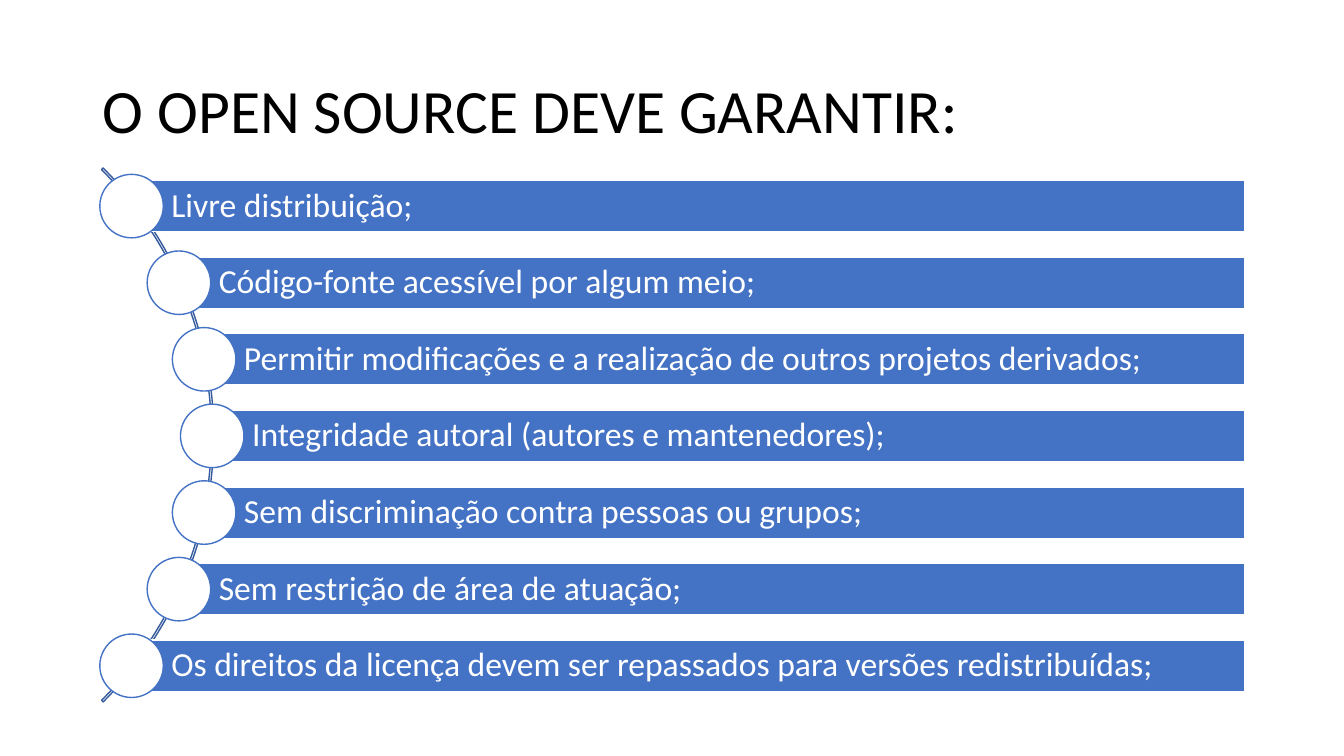
import math
from dataclasses import dataclass

import pptx
import pptx.dml.color
import pptx.enum.shapes
import pptx.enum.text
import pptx.shapes.autoshape
import pptx.shapes.shapetree
import pptx.util

RGB = pptx.dml.color.RGBColor
SHAPE = pptx.enum.shapes.MSO_SHAPE
EMU_PER_PX = 9144  # 100 px to the inch


@dataclass(frozen=True)
class Theme:
    font: str = "Calibri"
    title_size: int = 44
    item_size: int = 24
    line_width: int = 1
    line_spacing: float = 0.9
    ink: RGB = RGB(0, 0, 0)
    paper: RGB = RGB(255, 255, 255)
    accent: RGB = RGB(0x44, 0x72, 0xC4)
    accent_dark: RGB = RGB(0x36, 0x5B, 0x9D)


@dataclass(frozen=True)
class Box:
    left: int
    top: int
    width: int
    height: int

    def emu(self) -> tuple[int, int, int, int]:
        return px(self.left), px(self.top), px(self.width), px(self.height)


@dataclass(frozen=True)
class Guarantee:
    text: str
    center_x: int
    center_y: int


THEME = Theme()
GUARANTEES = (
    "Livre distribuição;",
    "Código-fonte acessível por algum meio;",
    "Permitir modificações e a realização de outros projetos derivados;",
    "Integridade autoral (autores e mantenedores);",
    "Sem discriminação contra pessoas ou grupos;",
    "Sem restrição de área de atuação;",
    "Os direitos da licença devem ser repassados para versões redistribuídas;",
)
TITLE_BOX = Box(92, 40, 1150, 145)
ARC_BOX = Box(-537, 57, 749, 749)
ARC_ANGLES = (189, 27, 0.003)
CURVE_RADIUS = 365
CURVE_RIGHT = 210
MIDDLE_Y = 432
ROW_STEP = 76
BAR_RIGHT = 1235
BAR_HEIGHT = 51
DISC_SIZE = 63


def px(length: int) -> pptx.util.Emu:
    return pptx.util.Emu(length * EMU_PER_PX)


def place_on_curve(index: int, text: str) -> Guarantee:
    """Space the rows evenly and start each one on the circular curve."""
    offset = (index - len(GUARANTEES) // 2) * ROW_STEP
    inset = CURVE_RADIUS - math.sqrt(CURVE_RADIUS**2 - offset**2)
    return Guarantee(text, round(CURVE_RIGHT - inset), MIDDLE_Y + offset)


def add_outlined(
    shapes: pptx.shapes.shapetree.GroupShapes,
    kind: SHAPE,
    box: Box,
    line: RGB,
    fill: RGB | None = None,
) -> pptx.shapes.autoshape.Shape:
    shape = shapes.add_shape(kind, *box.emu())
    shape.shadow.inherit = False
    if fill is None:
        shape.fill.background()
    else:
        shape.fill.solid()
        shape.fill.fore_color.rgb = fill
    shape.line.color.rgb = line
    shape.line.width = pptx.util.Pt(THEME.line_width)
    return shape


def write(
    frame: pptx.text.text.TextFrame, text: str, size: int, color: RGB
) -> None:
    frame.text = text
    frame.word_wrap = True
    frame.auto_size = pptx.enum.text.MSO_AUTO_SIZE.NONE
    frame.vertical_anchor = pptx.enum.text.MSO_ANCHOR.MIDDLE
    paragraph = frame.paragraphs[0]
    paragraph.alignment = pptx.enum.text.PP_ALIGN.LEFT
    paragraph.line_spacing = THEME.line_spacing
    paragraph.font.name = THEME.font
    paragraph.font.size = pptx.util.Pt(size)
    paragraph.font.color.rgb = color


def add_guarantee(
    shapes: pptx.shapes.shapetree.GroupShapes, item: Guarantee
) -> None:
    bar_box = Box(
        item.center_x,
        item.center_y - BAR_HEIGHT // 2,
        BAR_RIGHT - item.center_x,
        BAR_HEIGHT,
    )
    bar = add_outlined(shapes, SHAPE.RECTANGLE, bar_box, THEME.paper, THEME.accent)
    frame = bar.text_frame
    write(frame, item.text, THEME.item_size, THEME.paper)
    frame.margin_left = px(40)
    frame.margin_top = frame.margin_right = frame.margin_bottom = px(7)

    radius = DISC_SIZE // 2
    disc_box = Box(
        item.center_x - radius, item.center_y - radius, DISC_SIZE, DISC_SIZE
    )
    add_outlined(shapes, SHAPE.OVAL, disc_box, THEME.accent, THEME.paper)


def main() -> None:
    deck = pptx.Presentation()
    deck.slide_width, deck.slide_height = px(1333), px(750)
    slide = deck.slides.add_slide(deck.slide_layouts[5])

    title = slide.shapes.title
    title.left, title.top, title.width, title.height = TITLE_BOX.emu()
    write(
        title.text_frame, "O OPEN SOURCE DEVE GARANTIR:", THEME.title_size, THEME.ink
    )

    diagram = slide.shapes.add_group_shape().shapes
    arc = add_outlined(diagram, SHAPE.BLOCK_ARC, ARC_BOX, THEME.accent_dark)
    for position, angle in enumerate(ARC_ANGLES):
        arc.adjustments[position] = angle
    for index, text in enumerate(GUARANTEES):
        add_guarantee(diagram, place_on_curve(index, text))

    deck.save("out.pptx")


if __name__ == "__main__":
    main()
